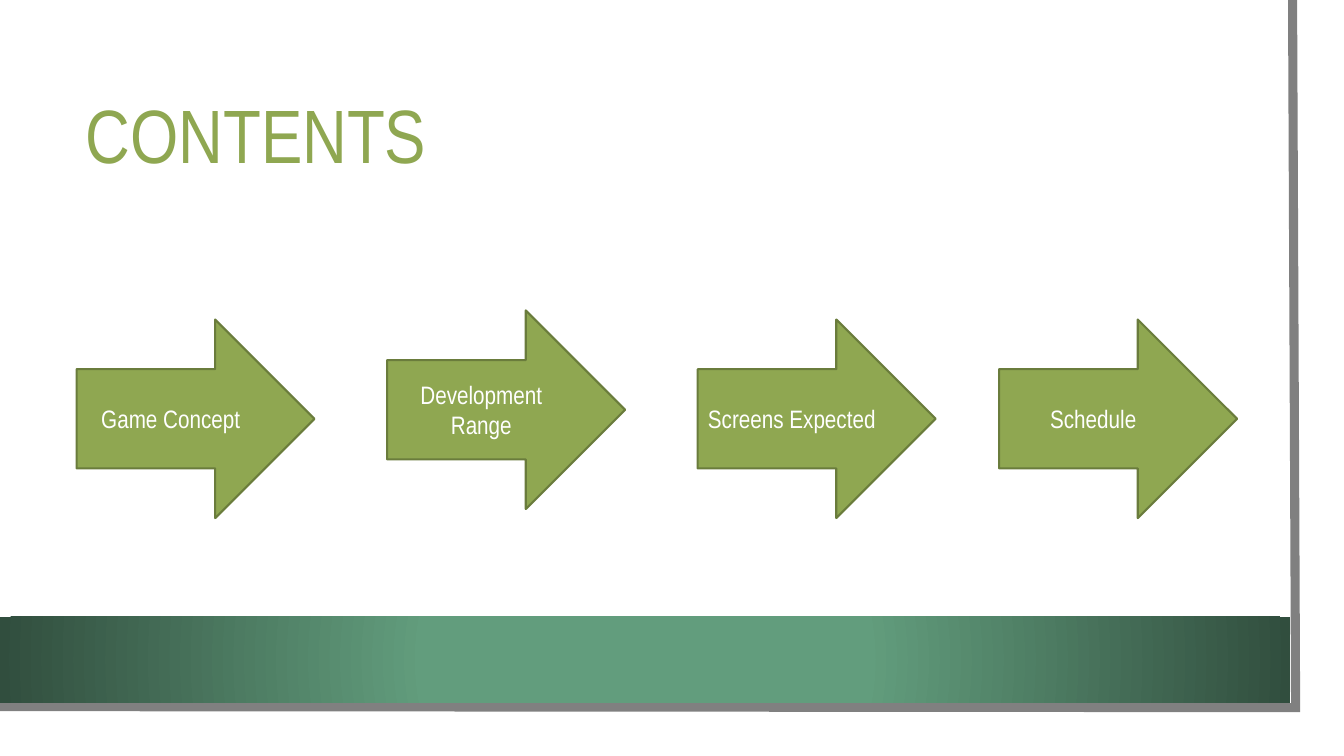
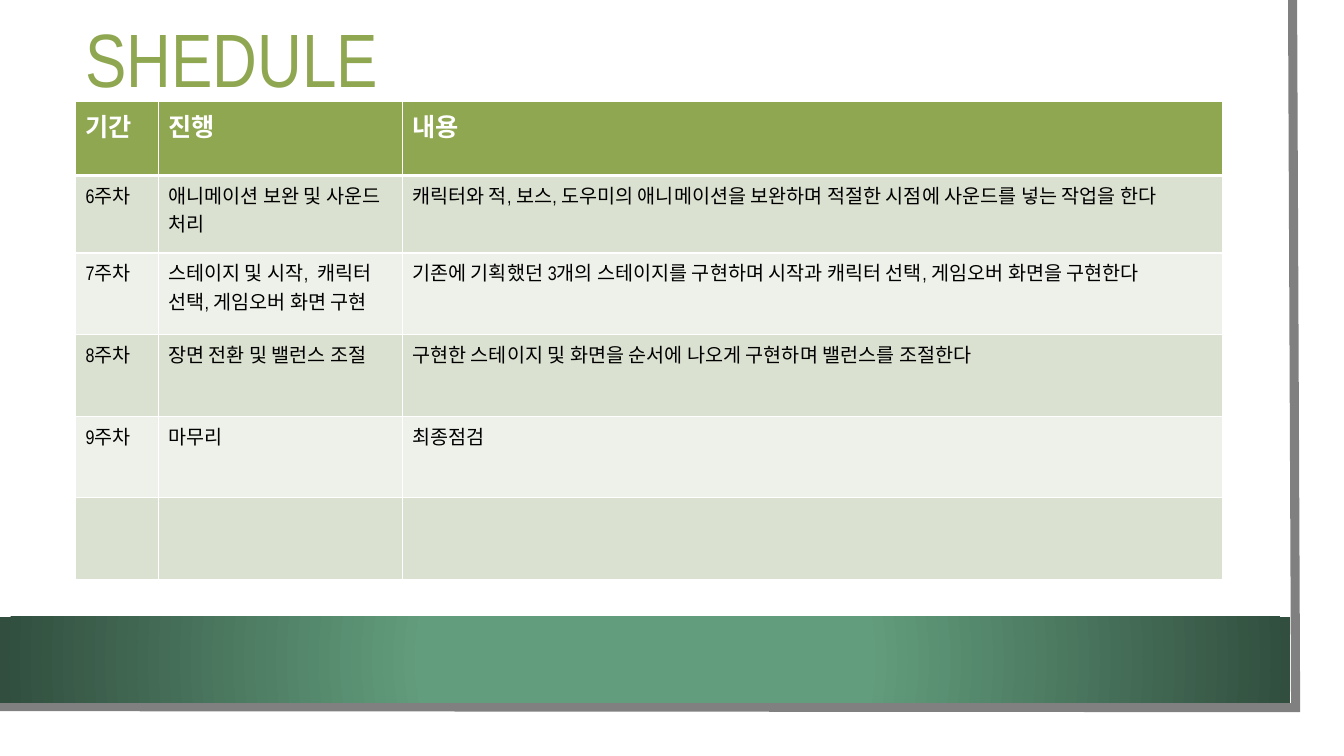
"""Build a contents slide and a schedule slide that share one layout."""
import pptx
import pptx.dml.color
import pptx.enum.shapes
import pptx.enum.text
import pptx.oxml
import pptx.oxml.ns
import pptx.util

Inches = pptx.util.Inches
Pt = pptx.util.Pt
MSO_SHAPE = pptx.enum.shapes.MSO_SHAPE
MIDDLE = pptx.enum.text.MSO_ANCHOR.MIDDLE
PP_ALIGN = pptx.enum.text.PP_ALIGN

COLORS = {
    "white": "FFFFFF",
    "black": "000000",
    "green": "8FA751",
    "dark green": "6A7C3C",
    "gray": "808080",
    "band center": "629D7D",
    "band edge": "314E3E",
    "odd row": "DBE1D0",
    "even row": "EEF1E9",
}
FONT = "Arial Narrow"
TITLE = {"name": FONT, "size": Pt(54), "color": "green"}
ARROW = {"name": FONT, "size": Pt(18), "color": "white"}
HEADER = {"name": FONT, "size": Pt(18), "bold": True, "color": "white"}
BODY = {"name": FONT, "size": Pt(14), "bold": False, "color": "black"}


def rgb(name):
    """Return the named color."""
    return pptx.dml.color.RGBColor.from_string(COLORS[name])


def format_text(text_frame, values):
    """Apply the format values to every run."""
    for paragraph in text_frame.paragraphs:
        for run in paragraph.runs:
            for key, value in values.items():
                if key == "color":
                    run.font.color.rgb = rgb(value)
                else:
                    setattr(run.font, key, value)


presentation = pptx.Presentation()
presentation.slide_width = Inches(13.33)
presentation.slide_height = Inches(7.5)
layout = presentation.slide_layouts.get_by_name("Title Only")
for placeholder in list(layout.placeholders):
    if placeholder.placeholder_format.type != pptx.enum.shapes.PP_PLACEHOLDER.TITLE:
        layout.shapes.element.remove(placeholder.element)

contents_slide = presentation.slides.add_slide(layout)
schedule_slide = presentation.slides.add_slide(layout)

page = contents_slide.shapes.add_shape(MSO_SHAPE.RECTANGLE, 0, 0, Inches(13.1), Inches(7.27))
page.fill.solid()
page.fill.fore_color.rgb = rgb("white")
page.line.fill.background()

builder = contents_slide.shapes.build_freeform(Inches(12.82), 0)
builder.add_line_segments(
    [(Inches(12.85), Inches(7.02)), (Inches(-0.03), Inches(7.01))], close=False
)
page_edge = builder.convert_to_shape()
page_edge.fill.background()
page_edge.line.color.rgb = rgb("gray")
page_edge.line.width = Pt(6.5)
page_edge.line._get_or_add_ln().append(
    pptx.oxml.parse_xml(f'<a:miter {pptx.oxml.ns.nsdecls("a")} lim="800000"/>')
)

band = contents_slide.shapes.add_shape(
    MSO_SHAPE.RECTANGLE, 0, Inches(6.12), Inches(12.8), Inches(0.85)
)
band.line.fill.background()
band.element.spPr.find(pptx.oxml.ns.qn("a:prstGeom")).addnext(
    pptx.oxml.parse_xml(
        f'<a:gradFill {pptx.oxml.ns.nsdecls("a")} rotWithShape="1"><a:gsLst>'
        f'<a:gs pos="34000"><a:srgbClr val="{COLORS["band center"]}"/></a:gs>'
        f'<a:gs pos="100000"><a:srgbClr val="{COLORS["band edge"]}"/></a:gs></a:gsLst>'
        '<a:path path="circle"><a:fillToRect l="50000" t="50000" r="50000" b="50000"/>'
        "</a:path></a:gradFill>"
    )
)

for position, shape in enumerate([page, page_edge, band], start=2):
    shape.shadow.inherit = False
    layout.shapes.element.insert(position, shape.element)

for slide, text, top in [(contents_slide, "CONTENTS", 0.75), (schedule_slide, "SHEDULE", 0)]:
    title = slide.shapes.title
    title.left, title.top = Inches(0.75), Inches(top)
    title.width, title.height = Inches(11.37), Inches(1.26)
    title.text_frame.text = text
    title.text_frame.vertical_anchor = MIDDLE
    title.text_frame.paragraphs[0].alignment = PP_ALIGN.LEFT
    title.text_frame.paragraphs[0].line_spacing = 0.9
    format_text(title.text_frame, TITLE)

for text, left, top in [
    ("Game Concept", 0.76, 3.17),
    ("Development Range", 3.84, 3.08),
    ("Screens Expected", 6.92, 3.17),
    ("Schedule", 9.91, 3.17),
]:
    arrow = contents_slide.shapes.add_shape(
        MSO_SHAPE.RIGHT_ARROW, Inches(left), Inches(top), Inches(2.36), Inches(1.97)
    )
    arrow.shadow.inherit = False
    arrow.fill.solid()
    arrow.fill.fore_color.rgb = rgb("green")
    arrow.line.color.rgb = rgb("dark green")
    arrow.line.width = Pt(1.5)
    arrow.text_frame.text = text
    arrow.text_frame.vertical_anchor = MIDDLE
    arrow.text_frame.paragraphs[0].alignment = PP_ALIGN.CENTER
    format_text(arrow.text_frame, ARROW)

schedule = [
    ("기간", "진행", "내용"),
    (
        "6주차",
        "애니메이션 보완 및 사운드 처리",
        "캐릭터와 적, 보스, 도우미의 애니메이션을 보완하며 적절한 시점에 사운드를 넣는 작업을 한다",
    ),
    (
        "7주차",
        "스테이지 및 시작,  캐릭터 선택, 게임오버 화면 구현",
        "기존에 기획했던 3개의 스테이지를 구현하며 시작과 캐릭터 선택, 게임오버 화면을 구현한다",
    ),
    (
        "8주차",
        "장면 전환 및 밸런스 조절",
        "구현한 스테이지 및 화면을 순서에 나오게 구현하며 밸런스를 조절한다",
    ),
    ("9주차", "마무리", "최종점검"),
    ("", "", ""),
]
column_widths = [0.82, 2.42, 8.14]
row_heights = [0.73, 0.77] + [0.81] * 4
table = schedule_slide.shapes.add_table(
    len(schedule), len(column_widths), Inches(0.75), Inches(1.01),
    Inches(sum(column_widths)), Inches(sum(row_heights)),
).table
for column, width in zip(table.columns, column_widths):
    column.width = Inches(width)
for row_index, (row, height) in enumerate(zip(table.rows, row_heights)):
    row.height = Inches(height)
    if row_index == 0:
        fill_name, text_format = "green", HEADER
    else:
        fill_name, text_format = ("odd row" if row_index % 2 else "even row"), BODY
    border_widths = {
        "lnL": 1,
        "lnR": 1,
        "lnT": 3 if row_index == 1 else 1,
        "lnB": 3 if row_index == 0 else 1,
    }
    for cell, text in zip(row.cells, schedule[row_index]):
        cell.text = text
        format_text(cell.text_frame, text_format)
        cell.fill.solid()
        cell.fill.fore_color.rgb = rgb(fill_name)
        properties = cell._tc.get_or_add_tcPr()
        for position, (side, width) in enumerate(border_widths.items()):
            border = pptx.oxml.parse_xml(
                f'<a:{side} {pptx.oxml.ns.nsdecls("a")} w="{Pt(width)}"><a:solidFill>'
                f'<a:srgbClr val="{COLORS["white"]}"/></a:solidFill></a:{side}>'
            )
            properties.insert(position, border)

presentation.save("out.pptx")
